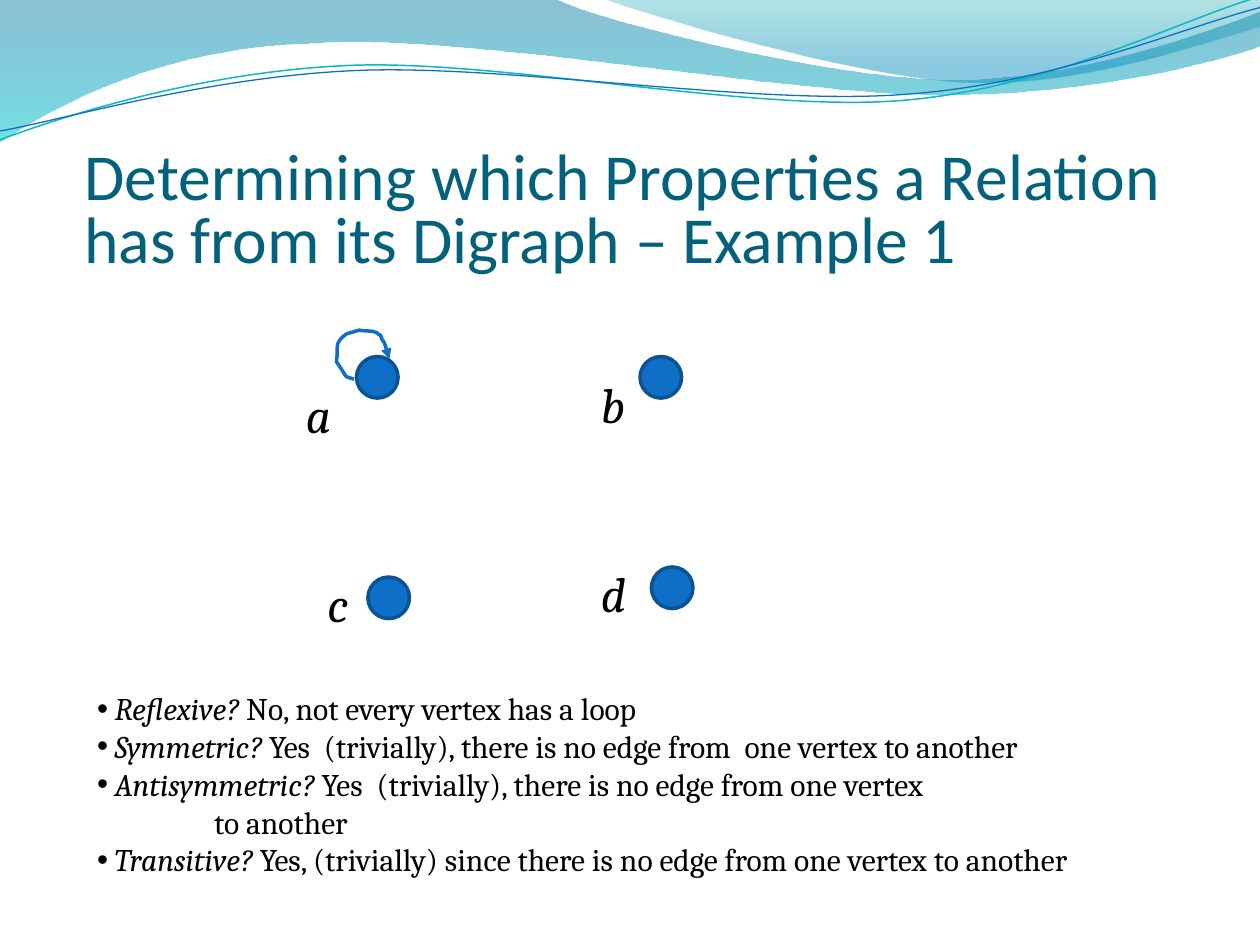
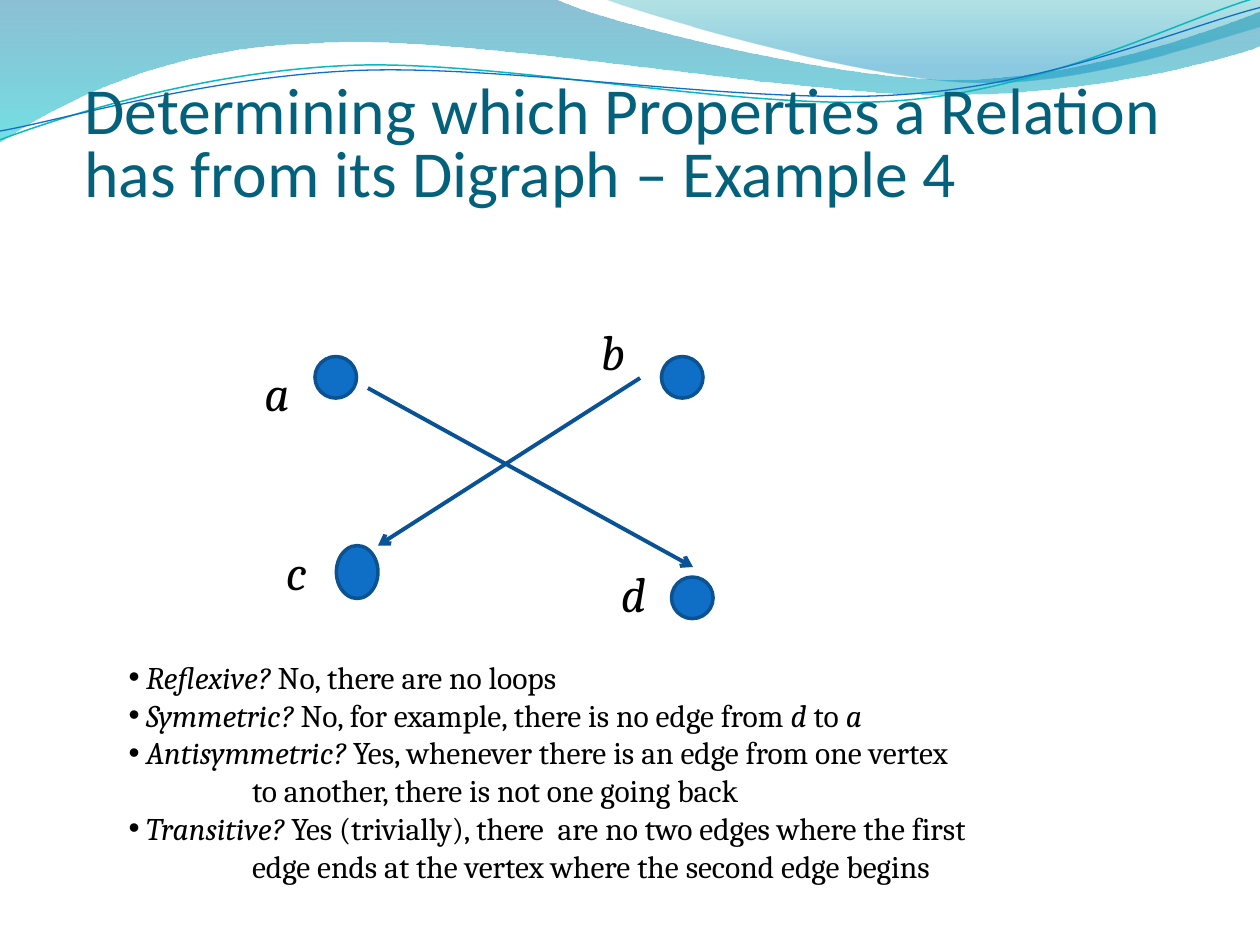
import pptx
import pptx.dml.color
import pptx.enum.shapes
import pptx.enum.text
import pptx.oxml.ns
import pptx.util
from lxml import etree

Inches, Pt, qn = pptx.util.Inches, pptx.util.Pt, pptx.oxml.ns.qn

COLORS = {
    "title": "04617B", "text": "000000", "node": "0F6FC6", "node_edge": "0B5292",
    "arrow": "095295", "teal_line": "0AB8BF",
    "wave_top": "0074A1", "wave_bottom": "00C6CF",
    "corner_top": "00A1A9", "corner_bottom": "008BBF",
}
DOT = 0.33

# Outlines: a start point, then 2 numbers for a line or 6 for a cubic curve.
WAVE = [(0, 0), (4.4, -0.01), (4.76, 0.17, 6.64, 0.63, 7.58, 0.63),
        (8.53, 0.63, 9.58, 0.26, 10, 0.09), (10.01, 0.36),
        (9.83, 0.44, 8.7, 0.76, 7.46, 0.75), (6.22, 0.75, 3.82, 0.28, 2.57, 0.34),
        (1.29, 0.36, 0.46, 0.83, -0.01, 1.13), (0, 0)]
CORNER = [(4.79, -0.01), (5.09, 0.11, 6.82, 0.62, 7.69, 0.65),
          (8.56, 0.69, 9.61, 0.32, 10, 0.21), (10, 0), (4.79, -0.01)]
TEAL_LINE = [(0, 1.11), (0.48, 0.93, 1.58, 0.57, 2.77, 0.52),
             (3.95, 0.47, 5.93, 0.89, 7.13, 0.8), (8.33, 0.71, 9.38, 0.15, 9.98, -0.02)]
BLUE_LINE = [(0, 1.04), (0.47, 0.96, 1.64, 0.61, 2.83, 0.56),
             (4.03, 0.51, 5.97, 0.84, 7.17, 0.75), (8.36, 0.67, 9.41, 0.21, 10, 0.06)]
LOOP = [(2.81, 3.01), (2.73, 2.98, 2.76, 3.01, 2.71, 2.93), (2.69, 2.9), (2.67, 2.87),
        (2.68, 2.83, 2.67, 2.78, 2.68, 2.73), (2.69, 2.7, 2.72, 2.67, 2.75, 2.65),
        (2.78, 2.64, 2.82, 2.63, 2.85, 2.62), (2.88, 2.63, 2.95, 2.62, 2.99, 2.64),
        (3, 2.65, 3.01, 2.66, 3.02, 2.66), (3.02, 2.67, 3.03, 2.68, 3.03, 2.69),
        (3.04, 2.7, 3.04, 2.71, 3.05, 2.72), (3.06, 2.74, 3.06, 2.76, 3.07, 2.78),
        (3.08, 2.81), (3.09, 2.84, 3.09, 2.83, 3.09, 2.85)]


def rgb(name):
    """Return a named colour as an RGBColor."""
    return pptx.dml.color.RGBColor.from_string(COLORS[name])


def bend(sp, segments):
    """Turn the straight segments of a freeform into cubic curves where given."""
    lines = list(sp.element.spPr.iter(qn("a:lnTo")))
    for line, seg in zip(lines, segments):
        if len(seg) == 6:
            curve = etree.Element(qn("a:cubicBezTo"))
            for x, y in zip(seg[::2], seg[1::2]):
                etree.SubElement(curve, qn("a:pt"), x=str(Inches(x) - sp.left),
                                 y=str(Inches(y) - sp.top))
            line.getparent().replace(line, curve)


class Deck:
    """Holds the presentation, its style and the current slide."""

    def __init__(self):
        """Start a 10 by 7.5 inch presentation."""
        self.prs = pptx.Presentation()
        self.prs.slide_width, self.prs.slide_height = Inches(10), Inches(7.5)
        self.s = None

    def slide(self):
        """Add a title-and-content slide and make it current."""
        self.s = self.prs.slides.add_slide(self.prs.slide_layouts[1])

    def place(self, sp, left, top, width, height):
        """Move and size a shape, in inches."""
        sp.left, sp.top = Inches(left), Inches(top)
        sp.width, sp.height = Inches(width), Inches(height)

    def run(self, p, text, size, font="Cambria", color="text", italic=False):
        """Add one formatted run to a paragraph."""
        r = p.add_run()
        r.text = text
        r.font.size, r.font.name, r.font.italic = Pt(size), font, italic
        r.font.color.rgb = rgb(color)

    def stroke(self, sp, color, width, head=None):
        """Set a line's colour and width, and an arrowhead at its end."""
        sp.line.color.rgb, sp.line.width = rgb(color), Pt(width)
        if head:
            etree.SubElement(sp.element.spPr.find(qn("a:ln")), qn("a:tailEnd"), type=head)

    def outline(self, outline):
        """Draw a freeform without fill or shadow, closed if it ends at its start."""
        points = [(Inches(seg[-2]), Inches(seg[-1])) for seg in outline]
        fb = self.s.shapes.build_freeform(*points[0])
        fb.add_line_segments(points[1:], close=points[0] == points[-1])
        sp = fb.convert_to_shape()
        bend(sp, outline[1:])
        sp.shadow.inherit = False
        sp.fill.background()
        return sp

    def gradient_band(self, outline, stops):
        """Draw a band with a see-through gradient from top to bottom."""
        sp = self.outline(outline)
        sp.line.fill.background()
        sp.fill.gradient()
        sp.fill.gradient_angle = 270
        for stop, (position, color, _) in zip(sp.fill.gradient_stops, stops):
            stop.position, stop.color.rgb = position, rgb(color)
        for clr, (_, _, alpha) in zip(sp.element.spPr.iter(qn("a:srgbClr")), stops):
            etree.SubElement(clr, qn("a:alpha"), val=str(alpha * 1000))
        return sp

    def master_bands(self):
        """Draw the header waves and hand them to the slide master."""
        bands = [
            self.gradient_band(WAVE, [(0, "wave_top", 45), (1, "wave_bottom", 55)]),
            self.gradient_band(CORNER, [(0, "corner_top", 30), (0.8, "corner_bottom", 45)]),
        ]
        for outline, color, width in ((TEAL_LINE, "teal_line", 0.85),
                                      (BLUE_LINE, "node", 0.75)):
            sp = self.outline(outline)
            self.stroke(sp, color, width)
            bands.append(sp)
        for sp in bands:
            self.prs.slide_master.shapes.element.append(sp.element)

    def title(self, text, top):
        """Fill the title placeholder."""
        sp = self.s.shapes.title
        self.place(sp, 0.67, top, 9, 1.25)
        tf = sp.text_frame
        tf.auto_size = pptx.enum.text.MSO_AUTO_SIZE.NONE
        tf.vertical_anchor = pptx.enum.text.MSO_ANCHOR.BOTTOM
        tf.margin_left = tf.margin_right = tf.margin_bottom = 0
        tf.margin_top = Inches(0.05)
        p = tf.paragraphs[0]
        p.alignment = pptx.enum.text.PP_ALIGN.LEFT
        p.line_spacing = 0.8
        self.run(p, text, 37.5, "Calibri", "title")

    def answers(self, lines, box, hang):
        """Fill the body: lists alternate italic and upright, strings continue a line."""
        sp = self.s.placeholders[1]
        self.place(sp, *box)
        tf = sp.text_frame
        tf.word_wrap = True
        tf.auto_size = pptx.enum.text.MSO_AUTO_SIZE.SHAPE_TO_FIT_TEXT
        for i, line in enumerate(lines):
            p = tf.add_paragraph() if i else tf.paragraphs[0]
            p.space_before = Pt(0)
            pPr = p._p.get_or_add_pPr()
            if isinstance(line, str):
                pPr.set("marL", str(Inches(hang)))
                pPr.set("indent", "0")
                etree.SubElement(pPr, qn("a:buNone"))
                self.run(p, line, 18)
                continue
            pPr.set("marL", str(Inches(0.14)))
            pPr.set("indent", str(-Inches(0.14)))
            etree.SubElement(pPr, qn("a:buChar"), char="\u2022")
            for j, text in enumerate(line):
                self.run(p, text, 18, italic=j % 2 == 0)

    def node(self, left, top, height=DOT):
        """Draw one vertex."""
        sp = self.s.shapes.add_shape(pptx.enum.shapes.MSO_SHAPE.OVAL, Inches(left),
                                     Inches(top), Inches(DOT), Inches(height))
        sp.shadow.inherit = False
        sp.fill.solid()
        sp.fill.fore_color.rgb = rgb("node")
        self.stroke(sp, "node_edge", 2)

    def label(self, text, left, top):
        """Write the name of a vertex."""
        sp = self.s.shapes.add_textbox(Inches(left), Inches(top), Inches(0.42), Inches(0.57))
        sp.text_frame.word_wrap = True
        self.run(sp.text_frame.paragraphs[0], text, 28, italic=True)

    def edge(self, x1, y1, x2, y2):
        """Draw an arrow between two vertices."""
        sp = self.s.shapes.add_connector(pptx.enum.shapes.MSO_CONNECTOR.STRAIGHT,
                                         Inches(x1), Inches(y1), Inches(x2), Inches(y2))
        self.stroke(sp, "arrow", 2.25, "arrow")
        etree.SubElement(sp.element.spPr, qn("a:effectLst"))

    def loop(self, outline):
        """Draw an edge from a vertex to itself."""
        self.stroke(self.outline(outline), "node", 2, "triangle")


TITLE = "Determining which Properties a Relation has from its Digraph \u2013 Example {}"

EXAMPLES = [
    {
        "number": 1, "title_top": 0.94, "box": (0.67, 5.42, 8.75, 1.62), "hang": 0.93,
        "nodes": [(2.83, 2.83), (5.08, 2.83), (5.17, 4.5), (2.92, 4.58)],
        "labels": [("a", 2.33, 3), ("b", 4.67, 2.92), ("c", 2.5, 4.5), ("d", 4.67, 4.42)],
        "loops": [LOOP], "edges": [],
        "answers": [
            ["Reflexive?", " No, not every vertex has a loop"],
            ["Symmetric?", " Yes  (trivially), there is no edge from  one vertex to another"],
            ["Antisymmetric?", " Yes  (trivially), there is no edge from one vertex"],
            "to another",
            ["Transitive?",
             " Yes, (trivially) since there is no edge from one vertex to another"],
        ],
    },
    {
        "number": 4, "title_top": 0.42, "box": (0.92, 5.17, 8.17, 1.92), "hang": 0.98,
        "nodes": [(2.5, 2.83), (5.25, 2.83), (2.67, 4.33, 0.42), (5.33, 4.58)],
        "labels": [("a", 2, 2.83), ("b", 4.67, 2.5), ("c", 2.17, 4.25), ("d", 4.83, 4.42)],
        "loops": [], "edges": [(2.92, 3.08, 5.5, 4.5), (5.08, 3, 3, 4.33)],
        "answers": [
            ["Reflexive?", " No, there are no loops"],
            ["Symmetric?", " No, for example, there is no edge from ", "d", " to ", "a"],
            ["Antisymmetric?", " Yes, whenever there is an edge from one vertex"],
            "to another, there is not one going back",
            ["Transitive?", " Yes (trivially), there  are no two edges where the first"],
            "edge ends at the vertex where the second edge begins",
        ],
    },
]

deck = Deck()
for i, example in enumerate(EXAMPLES):
    deck.slide()
    if i == 0:
        deck.master_bands()
    deck.title(TITLE.format(example["number"]), example["title_top"])
    deck.answers(example["answers"], example["box"], example["hang"])
    for node in example["nodes"]:
        deck.node(*node)
    for outline in example["loops"]:
        deck.loop(outline)
    for edge in example["edges"]:
        deck.edge(*edge)
    for label in example["labels"]:
        deck.label(*label)
deck.prs.save("out.pptx")
